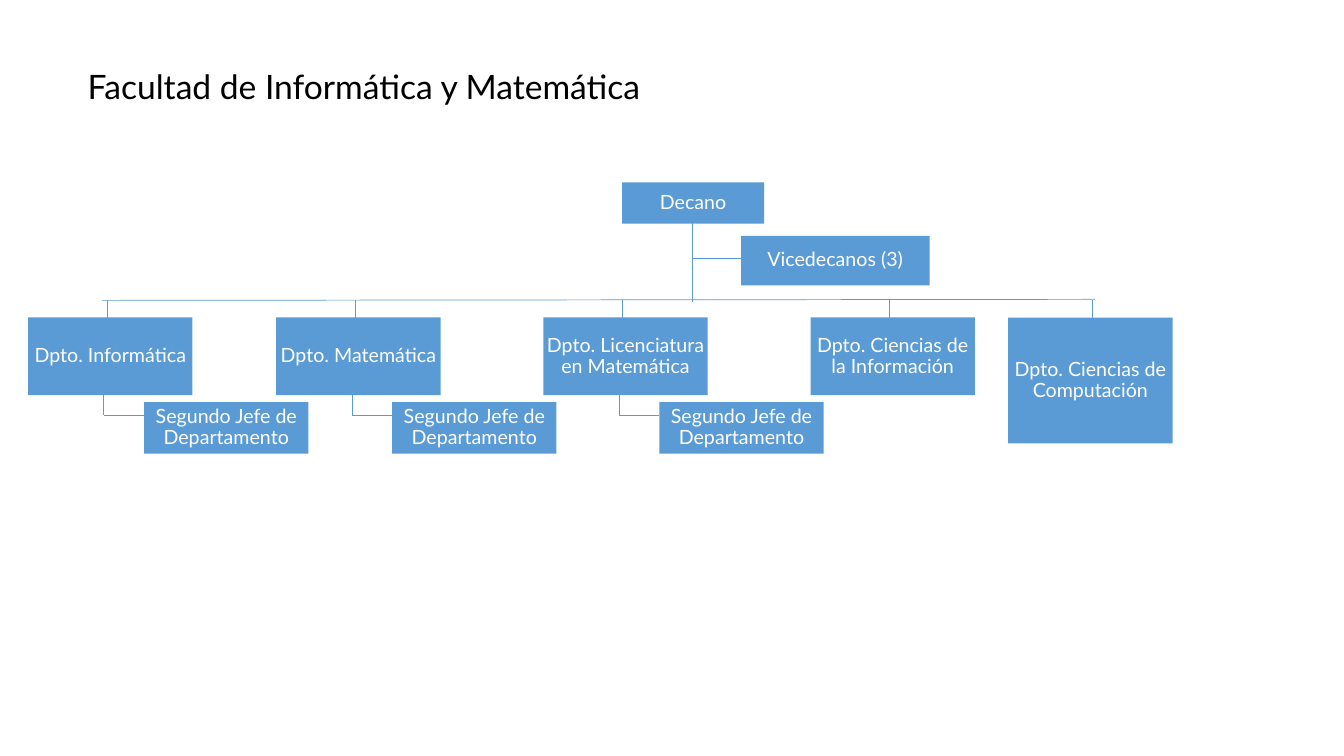
from pptx import Presentation
from pptx.dml.color import RGBColor
from pptx.enum.shapes import MSO_CONNECTOR, MSO_SHAPE
from pptx.enum.text import MSO_ANCHOR, PP_ALIGN
from pptx.oxml.ns import qn
from pptx.util import Inches, Pt
from lxml.etree import SubElement

BLUE = RGBColor(0x5B, 0x9B, 0xD5)
WHITE = RGBColor(0xFF, 0xFF, 0xFF)
BLACK = RGBColor(0, 0, 0)

FONT = "Lato"
BOX_WIDTH = 1.63
TOP_ROW = 3.15
BUS_Y = 2.98
# name, left, height, offset of the stem, has a deputy head
DEPARTMENTS = [
    ("Dpto. Informática", 0.28, 0.77, 0.78, True),
    ("Dpto. Matemática", 2.74, 0.77, 0.78, True),
    ("Dpto. Licenciatura en Matemática", 5.39, 0.77, 0.78, True),
    ("Dpto. Ciencias de la Información", 8.04, 0.77, 0.78, False),
    ("Dpto. Ciencias de Computación", 10, 1.25, 0.83, False),
]


def write_text(shape, text, size=14, color=WHITE, align=PP_ALIGN.CENTER,
               inset=0.01, spacing=0.9, wrap=True):
    frame = shape.text_frame
    frame.word_wrap = wrap
    frame.vertical_anchor = MSO_ANCHOR.MIDDLE
    frame.margin_left = frame.margin_right = Inches(inset)
    frame.margin_top = frame.margin_bottom = Inches(min(inset, 0.05))
    paragraph = frame.paragraphs[0]
    paragraph.alignment = align
    paragraph.line_spacing = spacing
    run = paragraph.add_run()
    run.text = text
    run.font.name = FONT
    run.font.size = Pt(size)
    run.font.color.rgb = color


def add_box(slide, text, left, top, width, height):
    box = slide.shapes.add_shape(MSO_SHAPE.RECTANGLE, Inches(left), Inches(top),
                                 Inches(width), Inches(height))
    box.shadow.inherit = False
    box.fill.solid()
    box.fill.fore_color.rgb = BLUE
    box.line.fill.background()
    write_text(box, text)


def add_line(slide, x1, y1, x2, y2):
    line = slide.shapes.add_connector(MSO_CONNECTOR.STRAIGHT, Inches(x1), Inches(y1),
                                      Inches(x2), Inches(y2))
    line.line.color.rgb = BLUE
    line.line.width = Pt(0.5)
    SubElement(line._element.spPr, qn("a:effectLst"))


def add_title(slide, text, left, top, width, height):
    title = slide.shapes.title
    title.left, title.top = Inches(left), Inches(top)
    title.width, title.height = Inches(width), Inches(height)
    write_text(title, text, size=24, color=BLACK, align=PP_ALIGN.LEFT,
               inset=0.1, spacing=1.0, wrap=False)


def add_deanery(slide, left, top):
    """Dean with the vice-deans branching off to the right."""
    add_line(slide, left + 0.7, top + 0.4, left + 0.7, top + 1.19)
    add_line(slide, left + 0.69, top + 0.75, left + 1.18, top + 0.75)
    add_box(slide, "Decano", left, top, 1.41, 0.41)
    add_box(slide, "Vicedecanos (3)", left + 1.18, top + 0.53, 1.87, 0.49)


def add_department(slide, name, left, top, height, stem, has_deputy):
    """Department hanging from the bus, with its deputy head if any."""
    add_line(slide, left + stem, top, left + stem, BUS_Y)
    add_box(slide, name, left, top, BOX_WIDTH, height)
    if has_deputy:
        branch, deputy, elbow = left + 0.75, left + 1.15, top + 0.97
        add_line(slide, branch, top + height, branch, elbow)
        add_line(slide, branch, elbow, deputy, elbow)
        add_box(slide, "Segundo Jefe de Departamento", deputy, top + 0.84,
                BOX_WIDTH, 0.51)


def main():
    deck = Presentation()
    deck.slide_width, deck.slide_height = Inches(13.33), Inches(7.5)
    slide = deck.slides.add_slide(deck.slide_layouts[5])

    add_title(slide, "Facultad de Informática y Matemática", 0.77, 0.6, 5.8, 0.5)
    add_deanery(slide, 6.17, 1.81)

    # Bus joining all departments
    add_line(slide, 1.01, BUS_Y, 10.86, BUS_Y - 0.01)
    for name, left, height, stem, has_deputy in DEPARTMENTS:
        add_department(slide, name, left, TOP_ROW, height, stem, has_deputy)

    deck.save("out.pptx")


if __name__ == "__main__":
    main()
